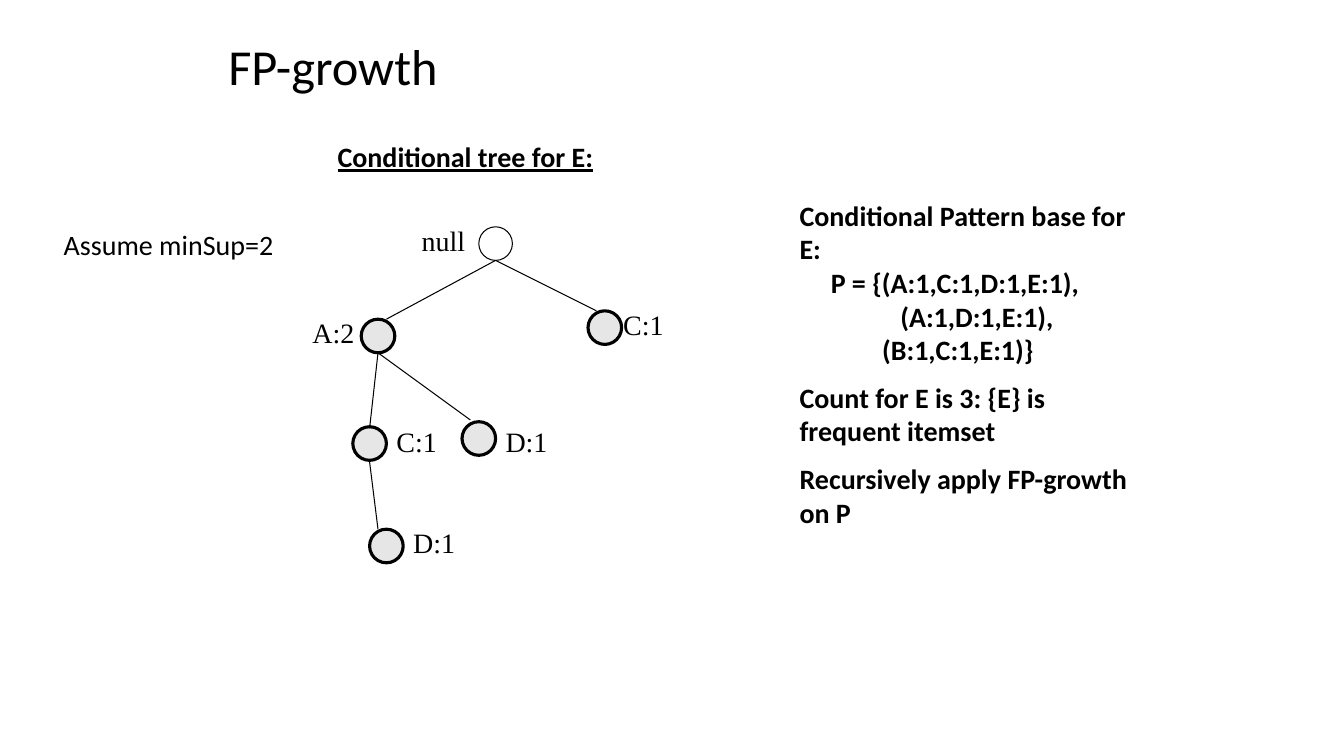
from lxml import etree
from pptx import Presentation
from pptx.dml.color import RGBColor
from pptx.enum.shapes import MSO_CONNECTOR, MSO_SHAPE
from pptx.enum.text import MSO_ANCHOR, MSO_AUTO_SIZE
from pptx.oxml.ns import qn
from pptx.util import Inches, Pt

OVAL = MSO_SHAPE.OVAL
STRAIGHT = MSO_CONNECTOR.STRAIGHT
MIDDLE, TOP = MSO_ANCHOR.MIDDLE, MSO_ANCHOR.TOP
GROW, NO_FIT = MSO_AUTO_SIZE.SHAPE_TO_FIT_TEXT, MSO_AUTO_SIZE.NONE

COLORS = {"ink": "000000", "node": "E7E6E6"}
SANS, SERIF = "Calibri", "Times New Roman"

# The grid has 160 columns and 90 rows, twelve to the inch.
COLUMNS, ROWS = 160, 90
NODE_SIZE = 4
LABEL_SIZE = (8, 5.2)

# label, node position, label position
ROOT = ("null", (57, 27), (49, 26))
ITEMS = [
    ("A:2", (43, 38), (36, 37)),
    ("C:1", (70, 37), (73, 36)),
    ("C:1", (42, 50.8), (46, 50)),
    ("D:1", (55, 50.2), (59, 50)),
    ("D:1", (44, 63), (48, 62)),
]
BRANCHES = [
    ((59, 31), (46, 38)),
    ((59, 31), (71, 37)),
    ((45, 42), (44, 51)),
    ((45, 42), (56, 50)),
    ((44, 55), (45, 63)),
]

# text, left indent in inches, space before in points
PATTERN_BASE = [
    ("Conditional Pattern base for E:", 0, 0),
    ("P = {(A:1,C:1,D:1,E:1),", 0.31, 0),
    ("(A:1,D:1,E:1),", 1, 0),
    ("(B:1,C:1,E:1)}", 0.82, 0),
    ("Count for E is 3: {E} is frequent itemset", 0, 10),
    ("Recursively apply FP-growth on P", 0, 10),
]


def grid(units):
    return Inches(units / 12)


def color(name):
    return RGBColor.from_string(COLORS[name])


def add_text(slide, position, size, paragraphs, font=SANS, points=20, bold=False,
             underline=False, wrap=True, anchor=TOP, fit=GROW):
    """Add a text box from (text, indent, space before) paragraphs."""
    box = slide.shapes.add_textbox(*map(grid, position + size))
    frame = box.text_frame
    frame.word_wrap = wrap
    frame.auto_size = fit
    frame.vertical_anchor = anchor
    for index, (text, indent, before) in enumerate(paragraphs):
        paragraph = frame.add_paragraph() if index else frame.paragraphs[0]
        if indent:
            paragraph._p.get_or_add_pPr().set("marL", str(Inches(indent)))
        if before:
            paragraph.space_before = Pt(before)
        run = paragraph.add_run()
        run.text = text
        run.font.name = font
        run.font.size = Pt(points)
        run.font.bold = bold
        run.font.underline = underline
        run.font.color.rgb = color("ink")


def add_node(slide, label, position, label_position, is_root=False):
    node = slide.shapes.add_shape(
        OVAL, *map(grid, position), grid(NODE_SIZE), grid(NODE_SIZE))
    node.shadow.inherit = False
    if is_root:
        node.fill.background()
    else:
        node.fill.solid()
        node.fill.fore_color.rgb = color("node")
    node.line.color.rgb = color("ink")
    node.line.width = Pt(0.75 if is_root else 2.25)
    add_text(slide, label_position, LABEL_SIZE, [(label, 0, 0)], font=SERIF)


def add_branch(slide, parent, child):
    branch = slide.shapes.add_connector(STRAIGHT, *map(grid, parent + child))
    branch.line.color.rgb = color("ink")
    branch.line.width = Pt(0.75)
    etree.SubElement(branch._element.spPr, qn("a:effectLst"))


def main():
    deck = Presentation()
    deck.slide_width, deck.slide_height = grid(COLUMNS), grid(ROWS)
    slide = deck.slides.add_slide(deck.slide_layouts[6])

    add_text(slide, (26, 3.6), (108, 8.4), [("FP-growth", 0, 0)],
             points=36, anchor=MIDDLE, fit=NO_FIT)
    add_node(slide, *ROOT, is_root=True)
    for item in ITEMS:
        add_node(slide, *item)
    for parent, child in BRANCHES:
        add_branch(slide, parent, child)
    add_text(slide, (94, 23), (44, 47.2), PATTERN_BASE, bold=True)
    add_text(slide, (39, 16), (40, 5.2), [("Conditional tree for E:", 0, 0)],
             bold=True, underline=True)
    add_text(slide, (6.4, 26.5), (27.6, 5.2), [("Assume minSup=2", 0, 0)], wrap=False)

    deck.save("out.pptx")


if __name__ == "__main__":
    main()
